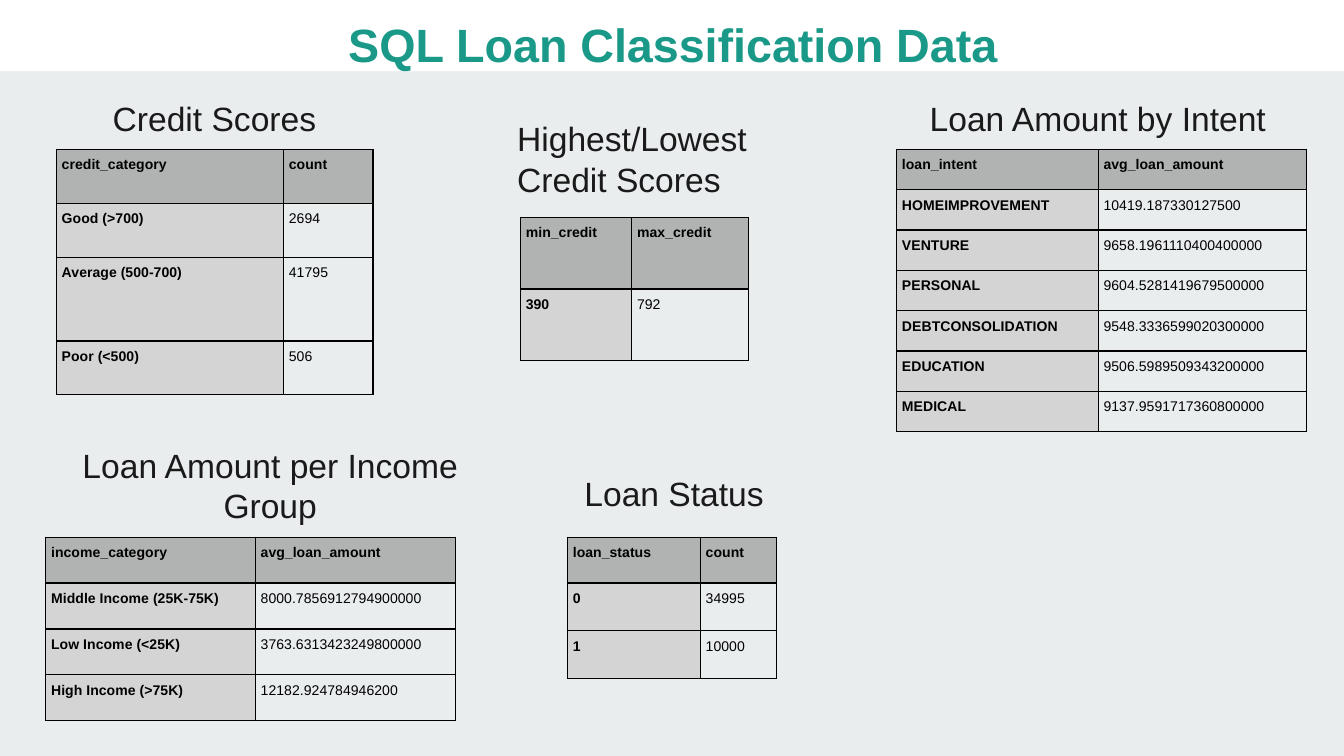
"""Build the SQL loan classification slide with five headed result tables."""
from dataclasses import dataclass

from lxml.etree import SubElement
from pptx import Presentation
from pptx.dml.color import RGBColor
from pptx.enum.shapes import MSO_SHAPE
from pptx.enum.text import MSO_ANCHOR, MSO_AUTO_SIZE, PP_ALIGN
from pptx.oxml.ns import qn
from pptx.slide import Slide
from pptx.table import _Cell as Cell
from pptx.text.text import TextFrame
from pptx.util import Pt

BACKGROUND = RGBColor(0xE9, 0xED, 0xEE)
WHITE = RGBColor(0xFF, 0xFF, 0xFF)
TEAL = RGBColor(0x1A, 0x99, 0x88)
INK = RGBColor(0x1A, 0x1A, 0x1A)
BLACK = RGBColor(0x00, 0x00, 0x00)
HEADER_GREY = RGBColor(0xB0, 0xB3, 0xB2)
LABEL_GREY = RGBColor(0xD4, 0xD4, 0xD4)
FONT = "Arial"
TEXT_INSET = 7.2
CELL_INSET = 2.9


@dataclass(frozen=True)
class Box:
    left: float
    top: float
    width: float
    height: float


@dataclass(frozen=True)
class ResultTable:
    heading: str
    heading_box: Box
    alignment: PP_ALIGN
    left: float
    top: float
    widths: tuple[float, ...]
    heights: tuple[float, ...]
    rows: tuple[tuple[str, str], ...]


RESULTS = (
    ResultTable(
        "Credit Scores", Box(31, 45.4, 167.8, 32.4), PP_ALIGN.CENTER,
        30.2, 80, (121.7, 48), (28.9, 28.9, 44.9, 28.9),
        (("credit_category", "count"), ("Good (>700)", "2694"),
         ("Average (500-700)", "41795"), ("Poor (<500)", "506")),
    ),
    ResultTable(
        "Highest/Lowest Credit Scores", Box(270, 56.2, 151.2, 50.4), PP_ALIGN.LEFT,
        278.8, 116.5, (59.6, 62.7), (38.3,) * 2,
        (("min_credit", "max_credit"), ("390", "792")),
    ),
    ResultTable(
        "Loan Amount by Intent", Box(491, 45.4, 198.7, 23.8), PP_ALIGN.LEFT,
        480.3, 80, (108, 111.7), (21.6,) * 7,
        (("loan_intent", "avg_loan_amount"),
         ("HOMEIMPROVEMENT", "10419.187330127500"),
         ("VENTURE", "9658.1961110400400000"),
         ("PERSONAL", "9604.5281419679500000"),
         ("DEBTCONSOLIDATION", "9548.3336599020300000"),
         ("EDUCATION", "9506.5989509343200000"),
         ("MEDICAL", "9137.9591717360800000")),
    ),
    ResultTable(
        "Loan Amount per Income Group", Box(23.8, 231.1, 241.9, 20.9), PP_ALIGN.CENTER,
        24.5, 287.8, (112.3, 107.3), (24.6,) * 4,
        (("income_category", "avg_loan_amount"),
         ("Middle Income (25K-75K)", "8000.7856912794900000"),
         ("Low Income (<25K)", "3763.6313423249800000"),
         ("High Income (>75K)", "12182.924784946200")),
    ),
    ResultTable(
        "Loan Status", Box(306, 246.2, 174.2, 32.4), PP_ALIGN.LEFT,
        304, 287.8, (71.2, 41), (24.6, 25.5, 25.5),
        (("loan_status", "count"), ("0", "34995"), ("1", "10000")),
    ),
)


def write_text(frame: TextFrame, text: str, size: float, color: RGBColor,
               bold: bool, alignment: PP_ALIGN) -> None:
    frame.text = text
    frame.word_wrap = True
    paragraph = frame.paragraphs[0]
    paragraph.alignment = alignment
    font = paragraph.runs[0].font
    font.name, font.size, font.bold = FONT, Pt(size), bold
    font.color.rgb = color


def set_insets(target: TextFrame | Cell, inset: float) -> None:
    target.margin_left = target.margin_right = Pt(inset)
    target.margin_top = target.margin_bottom = Pt(inset)


def add_borders(cell: Cell) -> None:
    properties = cell._tc.get_or_add_tcPr()
    for side in ("lnL", "lnR", "lnT", "lnB"):
        line = SubElement(properties, qn(f"a:{side}"), w=str(Pt(0.75)))
        fill = SubElement(line, qn("a:solidFill"))
        SubElement(fill, qn("a:srgbClr"), val=str(BLACK))


def format_cell(cell: Cell, text: str, row: int, column: int) -> None:
    is_label = row == 0 or column == 0
    write_text(cell.text_frame, text, 7.5, BLACK, is_label, PP_ALIGN.LEFT)
    cell.text_frame.paragraphs[0].line_spacing = 1.15
    set_insets(cell, CELL_INSET)
    add_borders(cell)
    if is_label:
        cell.fill.solid()
        cell.fill.fore_color.rgb = HEADER_GREY if row == 0 else LABEL_GREY
    else:
        cell.fill.background()


def add_heading(slide: Slide, result: ResultTable) -> None:
    box = result.heading_box
    shape = slide.shapes.add_textbox(Pt(box.left), Pt(box.top), Pt(box.width), Pt(box.height))
    set_insets(shape.text_frame, TEXT_INSET)
    write_text(shape.text_frame, result.heading, 18, INK, False, result.alignment)


def add_result_table(slide: Slide, result: ResultTable) -> None:
    table = slide.shapes.add_table(
        len(result.rows), len(result.widths), Pt(result.left), Pt(result.top),
        Pt(sum(result.widths)), Pt(sum(result.heights))).table
    table.first_row = table.horz_banding = False
    for column, width in zip(table.columns, result.widths):
        column.width = Pt(width)
    for row, height in zip(table.rows, result.heights):
        row.height = Pt(height)
    for row_index, texts in enumerate(result.rows):
        for column_index, text in enumerate(texts):
            format_cell(table.cell(row_index, column_index), text, row_index, column_index)


def add_title(slide: Slide) -> None:
    title = slide.shapes.title
    title.left, title.top, title.width, title.height = Pt(132.5), Pt(1.4), Pt(455.8), Pt(44.6)
    frame = title.text_frame
    frame.auto_size = MSO_AUTO_SIZE.NONE
    frame.vertical_anchor = MSO_ANCHOR.TOP
    set_insets(frame, TEXT_INSET)
    write_text(frame, "SQL Loan Classification Data", 25, TEAL, True, PP_ALIGN.CENTER)
    band = slide.shapes.add_shape(MSO_SHAPE.RECTANGLE, 0, 0, Pt(720), Pt(38.2))
    band.shadow.inherit = False
    band.fill.solid()
    band.fill.fore_color.rgb = WHITE
    band.line.fill.background()
    title.element.addprevious(band.element)


def main() -> None:
    presentation = Presentation()
    presentation.slide_width, presentation.slide_height = Pt(720), Pt(405)
    slide = presentation.slides.add_slide(presentation.slide_layouts[5])
    slide.background.fill.solid()
    slide.background.fill.fore_color.rgb = BACKGROUND
    add_title(slide)
    for result in RESULTS:
        add_result_table(slide, result)
        add_heading(slide, result)
    presentation.save("out.pptx")


if __name__ == "__main__":
    main()
